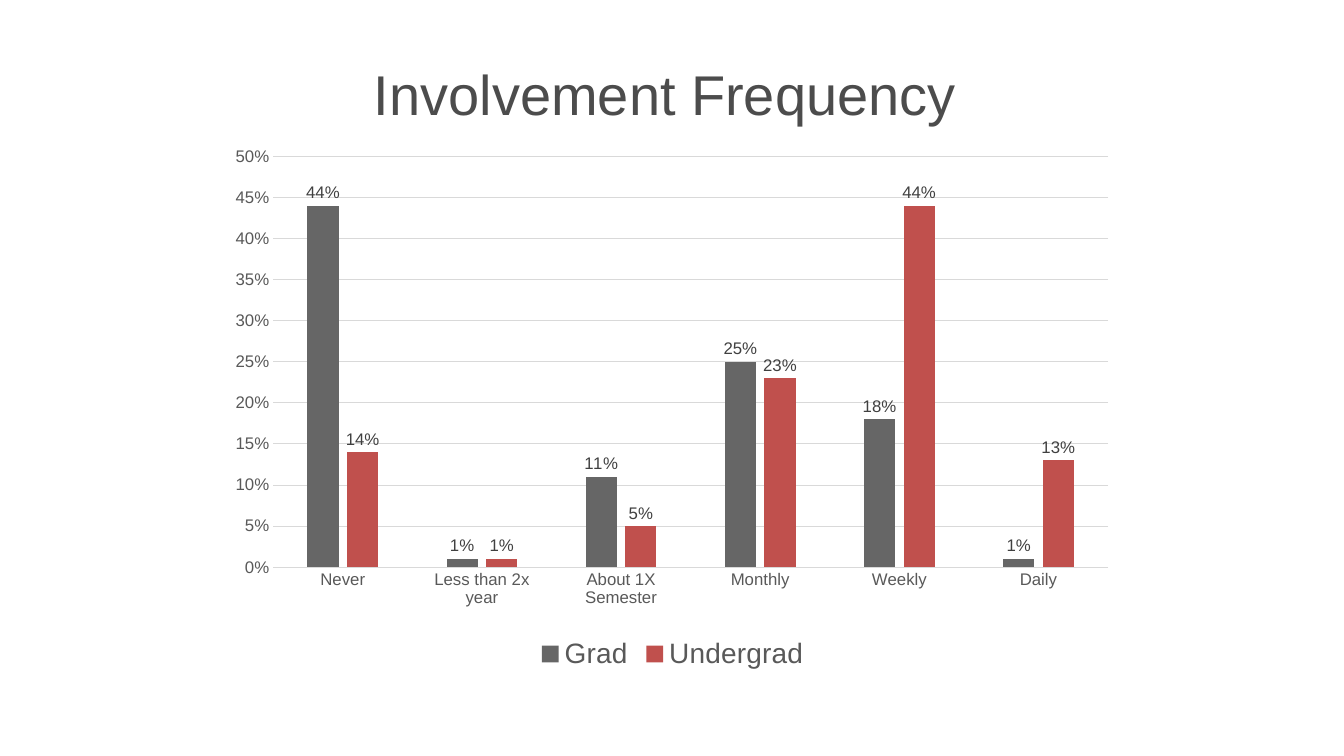
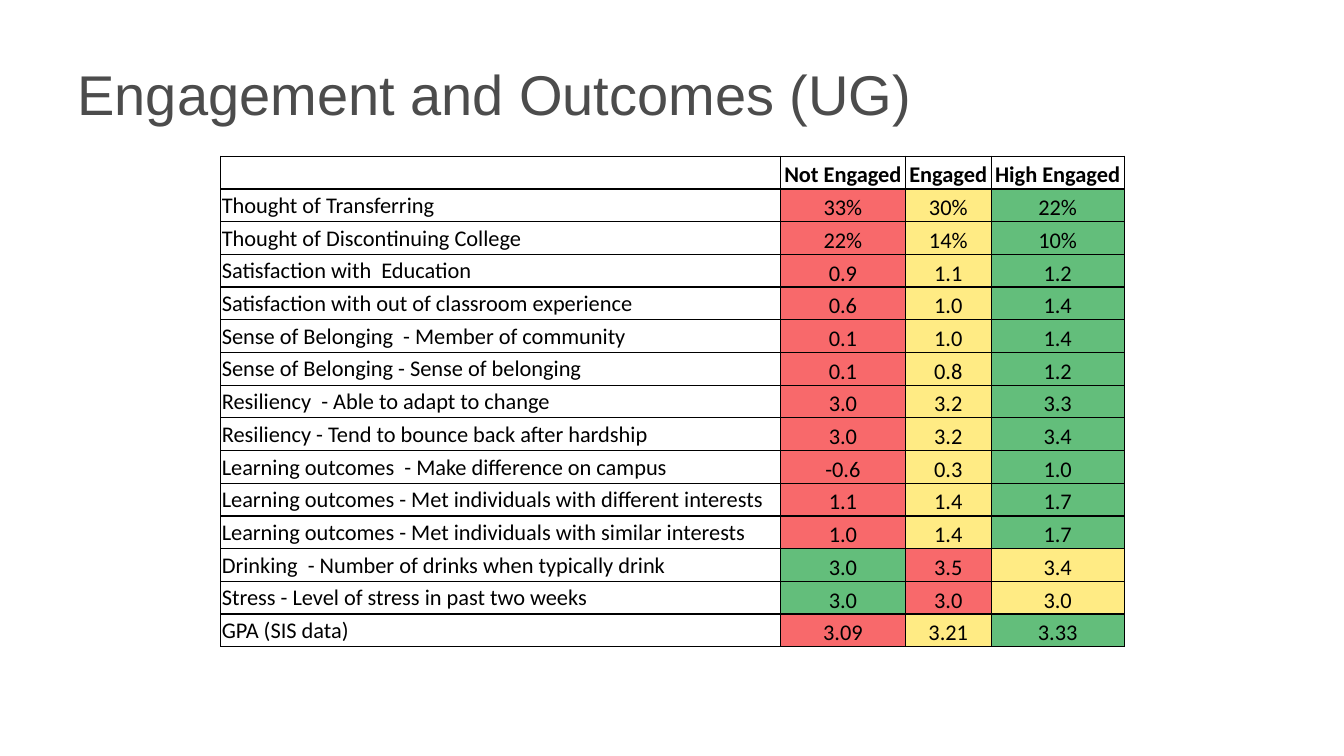
"""Build two slides on student involvement: a column chart and an outcomes table."""
from dataclasses import dataclass

from pptx import Presentation
from pptx import util as u
from pptx.chart.data import CategoryChartData
from pptx.dml.color import RGBColor
from pptx.enum import chart as charts, text
from pptx.oxml import parse_xml
from pptx.oxml.ns import nsdecls


@dataclass(frozen=True)
class Theme:
    heading_font: str = "Arial"
    table_font: str = "Calibri"
    title_size: int = 40
    legend_size: int = 20
    table_size: int = 16
    axis_size: int = 12
    title: str = "4C4C4C"
    axis: str = "595959"
    label: str = "404040"
    grid: str = "D9D9D9"
    grad: str = "666666"
    undergrad: str = "C0504D"
    ink: str = "000000"
    red: str = "F8696B"
    yellow: str = "FFEB84"
    green: str = "63BE7B"


theme = Theme()


def style_font(font, name, size, color):
    font.name = name
    font.size = u.Pt(size)
    font.color.rgb = RGBColor.from_string(color)


def add_titled_page(deck, title, align):
    page = deck.slides.add_slide(deck.slide_layouts[6])
    box = page.shapes.add_textbox(u.Inches(0.67), u.Inches(0.3), u.Inches(12), u.Inches(1.25))
    box.text_frame.word_wrap = True
    box.text_frame.vertical_anchor = text.MSO_ANCHOR.MIDDLE
    para = box.text_frame.paragraphs[0]
    para.alignment = align
    span = para.add_run()
    span.text = title
    style_font(span.font, theme.heading_font, theme.title_size, theme.title)
    return page


deck = Presentation()
deck.slide_width = u.Inches(13.33)
deck.slide_height = u.Inches(7.5)

page = add_titled_page(deck, "Involvement Frequency ", text.PP_ALIGN.CENTER)

frequency = CategoryChartData(number_format="0%")
frequency.categories = ["Never", "Less than 2x year", "About 1X Semester", "Monthly", "Weekly", "Daily"]
frequency.add_series("Grad", [0.44, 0.01, 0.11, 0.25, 0.18, 0.01])
frequency.add_series("Undergrad", [0.14, 0.01, 0.05, 0.23, 0.44, 0.13])
chart = page.shapes.add_chart(
    charts.XL_CHART_TYPE.COLUMN_CLUSTERED,
    u.Inches(2.17), u.Inches(1.42), u.Inches(9), u.Inches(5.28), frequency,
).chart
chart.has_title = False
chart.has_legend = True
chart.legend.position = charts.XL_LEGEND_POSITION.BOTTOM
chart.legend.include_in_layout = False
style_font(chart.legend.font, theme.heading_font, theme.legend_size, theme.axis)

for axis in (chart.category_axis, chart.value_axis):
    axis.major_tick_mark = charts.XL_TICK_MARK.NONE
    axis.minor_tick_mark = charts.XL_TICK_MARK.NONE
    style_font(axis.tick_labels.font, theme.heading_font, theme.axis_size, theme.axis)
chart.value_axis.minimum_scale = 0
chart.value_axis.maximum_scale = 0.5
chart.value_axis.major_unit = 0.05
chart.value_axis.tick_labels.number_format = "0%"
chart.value_axis.tick_labels.number_format_is_linked = False
chart.value_axis.format.line.fill.background()
for line in (chart.category_axis.format.line, chart.value_axis.major_gridlines.format.line):
    line.color.rgb = RGBColor.from_string(theme.grid)
    line.width = u.Pt(0.75)

plot = chart.plots[0]
plot.gap_width = 219
plot.overlap = -27
plot.vary_by_categories = False
for series, color in zip(plot.series, (theme.grad, theme.undergrad)):
    series.format.fill.solid()
    series.format.fill.fore_color.rgb = RGBColor.from_string(color)
    labels = series.data_labels
    labels.show_value = True
    labels.number_format = "0%"
    labels.number_format_is_linked = False
    labels.position = charts.XL_LABEL_POSITION.OUTSIDE_END
    style_font(labels.font, theme.heading_font, theme.axis_size, theme.label)

plot_area = chart.element.xpath("c:chart/c:plotArea")[0]
for layout in plot_area.xpath("c:layout"):
    plot_area.remove(layout)
plot_area.insert(0, parse_xml(
    f'<c:layout {nsdecls("c")}><c:manualLayout><c:layoutTarget val="inner"/>'
    '<c:xMode val="edge"/><c:yMode val="edge"/>'
    '<c:x val="0.06"/><c:y val="0.025"/><c:w val="0.92"/><c:h val="0.772"/>'
    '</c:manualLayout></c:layout>'
))

page = add_titled_page(deck, "Engagement and Outcomes (UG)", text.PP_ALIGN.LEFT)

rising = (theme.red, theme.yellow, theme.green)
falling = (theme.green, theme.red, theme.yellow)
outcomes = [
    ("", "Not Engaged", "Engaged", "High Engaged"),
    ("Thought of Transferring", "33%", "30%", "22%"),
    ("Thought of Discontinuing College", "22%", "14%", "10%"),
    ("Satisfaction with  Education", "0.9", "1.1", "1.2"),
    ("Satisfaction with out of classroom experience", "0.6", "1.0", "1.4"),
    ("Sense of Belonging  - Member of community", "0.1", "1.0", "1.4"),
    ("Sense of Belonging - Sense of belonging", "0.1", "0.8", "1.2"),
    ("Resiliency  - Able to adapt to change", "3.0", "3.2", "3.3"),
    ("Resiliency - Tend to bounce back after hardship", "3.0", "3.2", "3.4"),
    ("Learning outcomes  - Make difference on campus", "-0.6", "0.3", "1.0"),
    ("Learning outcomes - Met individuals with different interests", "1.1", "1.4", "1.7"),
    ("Learning outcomes - Met individuals with similar interests", "1.0", "1.4", "1.7"),
    ("Drinking  - Number of drinks when typically drink", "3.0", "3.5", "3.4"),
    ("Stress - Level of stress in past two weeks", "3.0", "3.0", "3.0"),
    ("GPA (SIS data)", "3.09", "3.21", "3.33"),
]
column_widths = (5.55, 1.24, 0.85, 1.32)
table_height = 4.87
table = page.shapes.add_table(
    len(outcomes), len(column_widths),
    u.Inches(2.19), u.Inches(1.55), u.Inches(sum(column_widths)), u.Inches(table_height),
).table
table.first_row = False
table.horz_banding = False
for column, width in zip(table.columns, column_widths):
    column.width = u.Inches(width)
for row in table.rows:
    row.height = u.Inches(table_height / len(outcomes))

for row_index, values in enumerate(outcomes):
    colors = falling if values[0].startswith(("Drinking", "Stress")) else rising
    for column_index, value in enumerate(values):
        cell = table.cell(row_index, column_index)
        cell.margin_left = cell.margin_top = cell.margin_right = u.Inches(0.01)
        cell.margin_bottom = 0
        cell.vertical_anchor = text.MSO_ANCHOR.BOTTOM if column_index else text.MSO_ANCHOR.MIDDLE
        properties = cell._tc.get_or_add_tcPr()
        for side in ("lnL", "lnR", "lnT", "lnB"):
            properties.append(parse_xml(
                f'<a:{side} {nsdecls("a")} w="{u.Pt(1)}"><a:solidFill>'
                f'<a:srgbClr val="{theme.ink}"/></a:solidFill></a:{side}>'
            ))
        if row_index and column_index:
            cell.fill.solid()
            cell.fill.fore_color.rgb = RGBColor.from_string(colors[column_index - 1])
        else:
            cell.fill.background()
        if value:
            para = cell.text_frame.paragraphs[0]
            para.alignment = text.PP_ALIGN.CENTER if column_index else text.PP_ALIGN.LEFT
            span = para.add_run()
            span.text = value
            span.font.bold = row_index == 0
            style_font(span.font, theme.table_font, theme.table_size, theme.ink)

deck.save("out.pptx")
